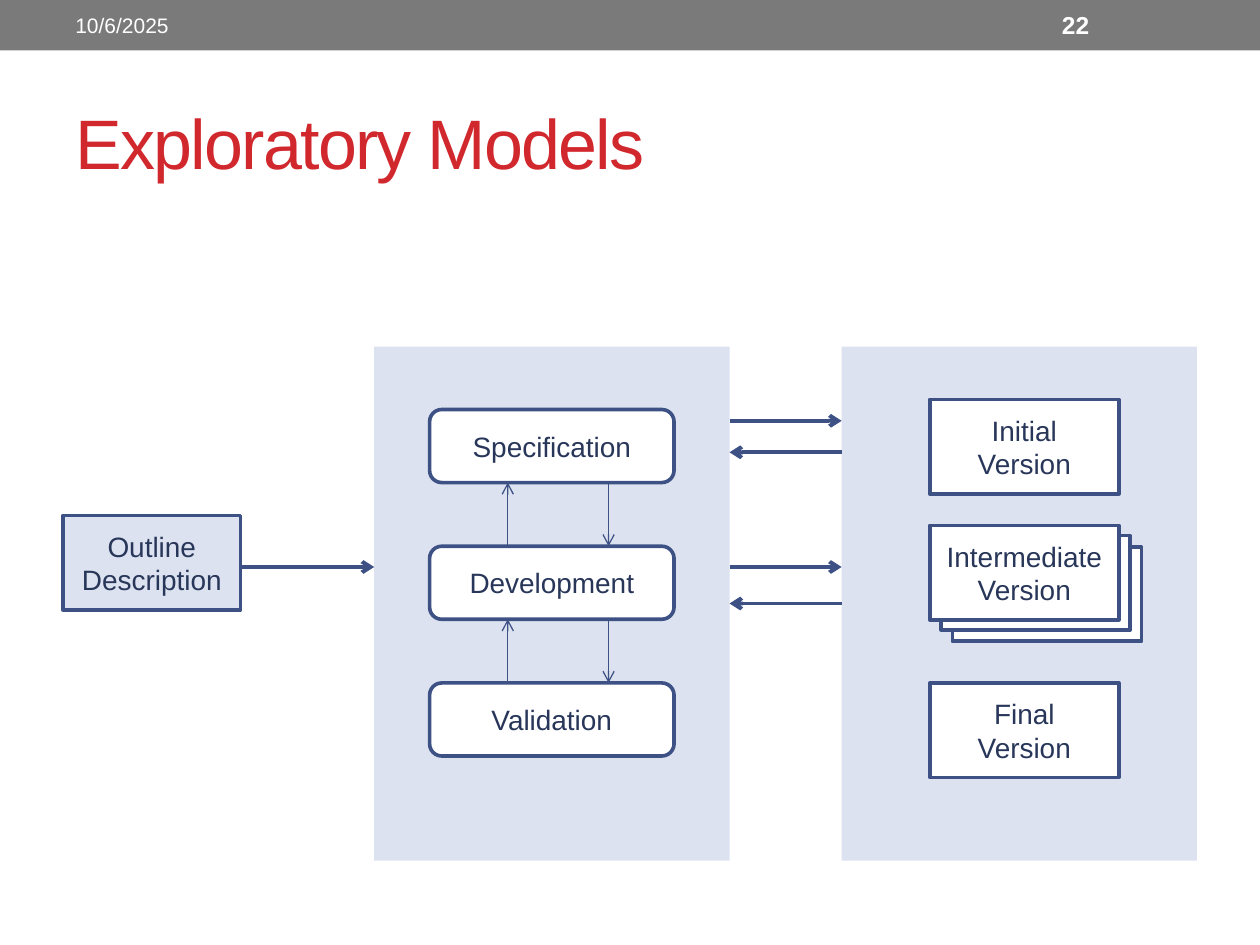
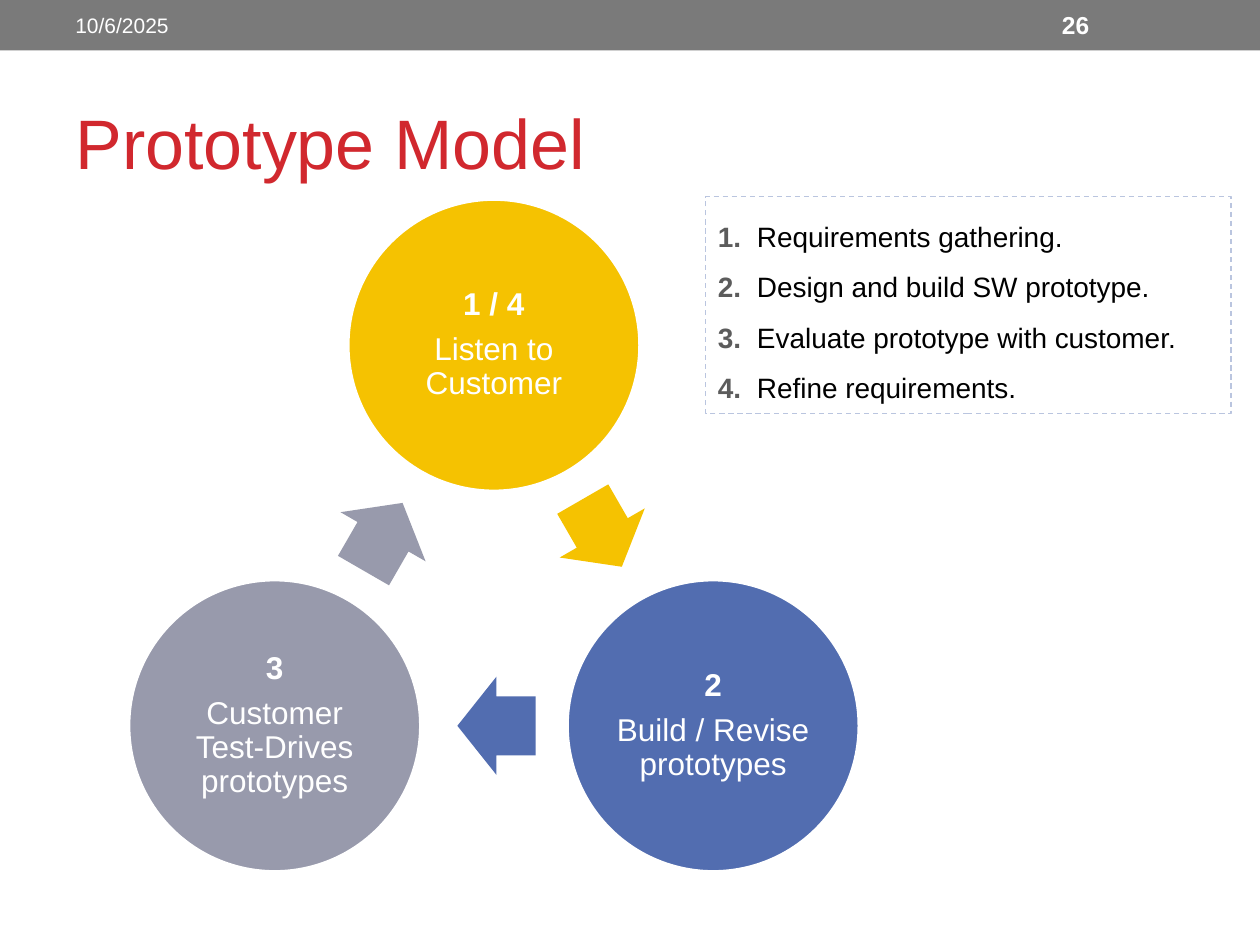
from lxml import etree
from pptx import Presentation
from pptx.dml.color import RGBColor
from pptx.enum.dml import MSO_LINE
from pptx.enum.shapes import MSO_CONNECTOR, MSO_SHAPE
from pptx.enum.text import MSO_ANCHOR, PP_ALIGN
from pptx.oxml.ns import qn
from pptx.util import Inches, Pt

RECT, OVAL = MSO_SHAPE.RECTANGLE, MSO_SHAPE.OVAL
STAGE, BLOCK_ARROW = MSO_SHAPE.FLOWCHART_ALTERNATE_PROCESS, MSO_SHAPE.RIGHT_ARROW
STRAIGHT, DASH = MSO_CONNECTOR.STRAIGHT, MSO_LINE.DASH
MIDDLE, TOP = MSO_ANCHOR.MIDDLE, MSO_ANCHOR.TOP
LEFT, CENTER = PP_ALIGN.LEFT, PP_ALIGN.CENTER

FONT = "Arial"
WHITE, BLACK, BAND, RED = "FFFFFF", "000000", "7A7A7A", "D1282E"
PALE, NAVY, INK = "DCE2EF", "3D5185", "283659"
rgb = RGBColor.from_string


def add_box(slide, geometry, at, fill=None, line=None, text="", weight=2.08):
    box = slide.shapes.add_shape(geometry, *map(Inches, at))
    box.shadow.inherit = False
    if fill:
        box.fill.solid()
        box.fill.fore_color.rgb = rgb(fill)
    else:
        box.fill.background()
    if line:
        box.line.color.rgb = rgb(line)
        box.line.width = Pt(weight)
    else:
        box.line.fill.background()
    if text:
        box.text_frame.text = text
        box.text_frame.vertical_anchor = MIDDLE
        for paragraph in box.text_frame.paragraphs:
            paragraph.alignment = CENTER
            paragraph.font.name = FONT
            paragraph.font.size = Pt(16)
            paragraph.font.color.rgb = rgb(INK)
    return box


def add_arrow(slide, x1, y1, x2, y2, weight=2.25):
    arrow = slide.shapes.add_connector(STRAIGHT, *map(Inches, (x1, y1, x2, y2)))
    arrow.line.color.rgb = rgb(NAVY)
    arrow.line.width = Pt(weight)
    etree.SubElement(arrow.line._get_or_add_ln(), qn("a:tailEnd"), type="arrow")
    etree.SubElement(arrow._element.spPr, qn("a:effectLst"))
    return arrow


prs = Presentation()
prs.slide_width, prs.slide_height = Inches(10), Inches(7.5)

# Both slides: grey band, title, date and slide number
slides = []
for heading, number in (("Exploratory Models", "22"), ("Prototype Model", "26")):
    slide = prs.slides.add_slide(prs.slide_layouts[5])
    slides.append(slide)
    add_box(slide, RECT, (0, 0, 10, 0.4), BAND)

    title = slide.shapes.title
    title.left, title.top, title.width, title.height = map(Inches, (0.5, 0.58, 9, 1.08))
    title.text_frame.text = heading
    title.text_frame.vertical_anchor = MIDDLE
    line = title.text_frame.paragraphs[0]
    line.alignment = LEFT
    line.font.name, line.font.size = FONT, Pt(40)
    line.font.color.rgb = rgb(RED)

    for text, left, width, size, bold in (("10/6/2025", 0.5, 3.17, 12, False),
                                          (number, 8.33, 1.17, 14, True)):
        label = slide.shapes.add_textbox(*map(Inches, (left, 0.02, width, 0.36)))
        label.text_frame.word_wrap = True
        label.text_frame.vertical_anchor = MIDDLE
        label.text_frame.text = text
        line = label.text_frame.paragraphs[0]
        line.font.name, line.font.size, line.font.bold = FONT, Pt(size), bold
        line.font.color.rgb = rgb(WHITE)

exploratory, prototype = slides
# Tighter letters in the first title
exploratory.shapes.title.text_frame.paragraphs[0].runs[0].font._element.set("spc", "-100")

# Exploratory models: outline and the two panels
add_box(exploratory, RECT, (0.5, 4.09, 1.41, 0.75), PALE, NAVY, "Outline Description")
versions_panel = add_box(exploratory, RECT, (6.68, 2.75, 2.82, 4.08), PALE)
stages_panel = add_box(exploratory, RECT, (2.97, 2.75, 2.82, 4.08), PALE)

# Versions, the intermediate one on a stack
for left, top, text in ((7.38, 3.17, "Initial Version"),
                        (7.38, 5.42, "Final\nVersion"),
                        (7.56, 4.34, ""),
                        (7.47, 4.25, ""),
                        (7.38, 4.17, "Intermediate Version")):
    add_box(exploratory, RECT, (left, top, 1.5, 0.75), WHITE, NAVY, text)

# Stages, with arrows down and up between neighbours
STAGE_TOP, STAGE_STEP, STAGE_HEIGHT = 3.25, 1.085, 0.58
for i, stage in enumerate(("Specification", "Development", "Validation")):
    top = STAGE_TOP + i * STAGE_STEP
    add_box(exploratory, STAGE, (3.41, top, 1.94, STAGE_HEIGHT), WHITE, NAVY, stage)
    if i:
        above = top - STAGE_STEP + STAGE_HEIGHT
        add_arrow(exploratory, 4.83, above, 4.83, top, 0.75)
        add_arrow(exploratory, 4.03, top, 4.03, above, 0.75)

# Arrows into and between the panels
for start, end, y in ((5.79, 6.68, 3.34), (5.79, 6.68, 4.5),
                      (6.68, 5.79, 3.59), (1.91, 2.97, 4.5)):
    add_arrow(exploratory, start, y, end, y)
feedback = add_arrow(exploratory, 6.68, 4.79, 5.79, 4.79)
feedback.begin_connect(versions_panel, 1)
feedback.end_connect(stages_panel, 3)

# Prototype model: cycle of three steps, each followed by an arrow
cycle = (
    ("1 / 4", "Listen to Customer", "F5C201", (2.76, 1.58), (4.47, 3.84), 60),
    ("2", "Build / Revise prototypes", "526DB0", (4.5, 4.6), (3.63, 5.37), 180),
    ("3", "Customer Test-Drives prototypes", "989AAC", (1.02, 4.6), (2.73, 3.87), 300),
)
for number, step, color, circle_at, arrow_at, angle in cycle:
    circle = add_box(prototype, OVAL, (*circle_at, 2.32, 2.32), color, WHITE,
                     f"{number}\n{step}")
    frame = circle.text_frame
    frame.margin_left = frame.margin_right = Inches(0.03)
    frame.margin_top = frame.margin_bottom = Inches(0.03)
    for paragraph in frame.paragraphs:
        paragraph.line_spacing = 0.9
        paragraph.space_after = Pt(6.3)
        paragraph.font.size = Pt(18)
        paragraph.font.color.rgb = rgb(WHITE)
    frame.paragraphs[0].font.bold = True

    turn = add_box(prototype, BLOCK_ARROW, (*arrow_at, 0.62, 0.78), color)
    turn.adjustments[0], turn.adjustments[1] = 0.6, 0.5
    turn.rotation = angle

# Numbered steps in a dashed frame
steps = add_box(prototype, RECT, (5.6, 1.56, 4.17, 1.72), line="BAC5DF", weight=0.75)
steps.line.dash_style = DASH
steps.text_frame.vertical_anchor = TOP
for i, step in enumerate(("Requirements gathering.",
                          "Design and build SW prototype.",
                          "Evaluate prototype with customer.",
                          "Refine requirements.")):
    paragraph = steps.text_frame.add_paragraph() if i else steps.text_frame.paragraphs[0]
    paragraph.alignment = LEFT
    paragraph.line_spacing = 1.5
    properties = paragraph._p.get_or_add_pPr()
    properties.set("marL", str(Inches(0.31)))
    properties.set("indent", str(-Inches(0.31)))
    paragraph.font.name, paragraph.font.size = FONT, Pt(16)
    for text, color, bold in ((f"{i + 1}.\t", "5C5C5C", True), (step, BLACK, False)):
        run = paragraph.add_run()
        run.text = text
        run.font.bold = bold
        run.font.color.rgb = rgb(color)

prs.save("out.pptx")
